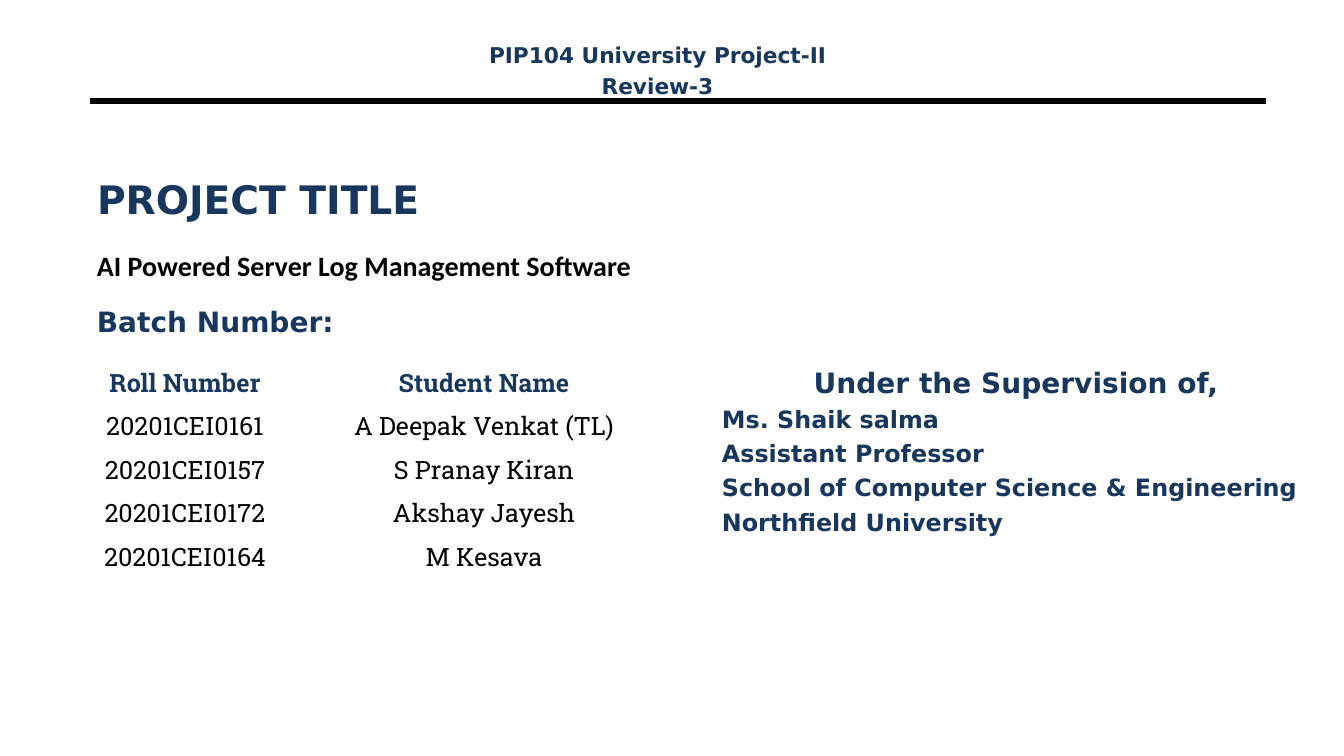
import pptx
import pptx.util
import pptx.dml.color
import pptx.enum.shapes
import pptx.enum.text
import pptx.oxml.ns
import lxml.etree

NAVY = pptx.dml.color.RGBColor(0x17, 0x37, 0x5E)
BLACK = pptx.dml.color.RGBColor(0, 0, 0)
PX_PER_INCH = 100.8
SPACE_BEFORE_RATIO = 0.23
ALIGN = pptx.enum.text.PP_ALIGN
ANCHOR = pptx.enum.text.MSO_ANCHOR

STUDENTS = [
    ("Roll Number", "Student Name"),
    ("20201CEI0161", "A Deepak Venkat (TL)"),
    ("20201CEI0157", "S Pranay Kiran"),
    ("20201CEI0172", "Akshay Jayesh"),
    ("20201CEI0164", "M Kesava"),
    ("", ""),
]
COLUMN_WIDTHS = (230, 368)
ROW_HEIGHT = 41


def px(length):
    return pptx.util.Emu(round(length * 914400 / PX_PER_INCH))


def set_values(target, values):
    for name, value in values.items():
        setattr(target, name, value)


def heading(size, name="DejaVu Sans", color=NAVY, bold=True):
    return {"size": size, "name": name, "color": color, "bold": bold}


def write_para(para, text, style, align=ALIGN.LEFT):
    size = pptx.util.Pt(style["size"])
    para.alignment = align
    span = para.add_run()
    span.text = text
    set_values(span.font, {"name": style["name"], "size": size, "bold": style["bold"]})
    span.font.color.rgb = style["color"]


def fill_box(box, place, lines, anchor=ANCHOR.TOP):
    left, top, width, height = map(px, place)
    set_values(box, {"left": left, "top": top, "width": width, "height": height})
    frame = box.text_frame
    set_values(frame, {
        "word_wrap": True,
        "auto_size": pptx.enum.text.MSO_AUTO_SIZE.NONE,
        "vertical_anchor": anchor,
    })
    for index, (text, style, align) in enumerate(lines):
        para = frame.add_paragraph() if index else frame.paragraphs[0]
        write_para(para, text, style, align)
        if index:
            para.space_before = pptx.util.Pt(round(style["size"] * SPACE_BEFORE_RATIO, 1))


def add_text(page, place, lines):
    fill_box(page.shapes.add_textbox(0, 0, 0, 0), place, lines)


def add_rule(page, left, right, y):
    rule = page.shapes.add_connector(
        pptx.enum.shapes.MSO_CONNECTOR.STRAIGHT, px(left), px(y), px(right), px(y))
    rule.line.color.rgb = BLACK
    rule.line.width = pptx.util.Pt(4.5)
    lxml.etree.SubElement(rule.element.spPr, pptx.oxml.ns.qn("a:effectLst"))


def add_students(page, left, top):
    table = page.shapes.add_table(
        len(STUDENTS), len(COLUMN_WIDTHS), px(left), px(top),
        px(sum(COLUMN_WIDTHS)), px(ROW_HEIGHT * len(STUDENTS))).table
    set_values(table, {"first_row": False, "horz_banding": False})
    for column, width in zip(table.columns, COLUMN_WIDTHS):
        column.width = px(width)
    for row_index, names in enumerate(STUDENTS):
        header = row_index == 0
        style = heading(18, "Roboto Slab", NAVY if header else BLACK, header)
        for column_index, text in enumerate(names):
            cell = table.cell(row_index, column_index)
            cell.fill.background()
            cell.vertical_anchor = ANCHOR.MIDDLE
            if text:
                write_para(cell.text_frame.paragraphs[0], text, style, ALIGN.CENTER)


def main():
    deck = pptx.Presentation()
    set_values(deck, {"slide_width": px(1344), "slide_height": px(756)})
    page = deck.slides.add_slide(deck.slide_layouts[5])

    add_rule(page, 90, 1266, 101)
    fill_box(page.shapes.title, (87, 118, 1142, 162),
             [("PROJECT TITLE", heading(28), ALIGN.LEFT)], ANCHOR.MIDDLE)
    add_text(page, (87, 300, 437, 60), [("Batch Number:", heading(20), ALIGN.LEFT)])
    add_students(page, 70, 361)

    supervisor = ("Ms. Shaik salma", "Assistant Professor",
                  "School of Computer Science & Engineering", "Northfield University")
    add_text(page, (712, 361, 608, 268),
             [("Under the Supervision of,", heading(20), ALIGN.CENTER)]
             + [(line, heading(17), ALIGN.LEFT) for line in supervisor])
    add_text(page, (439, 37, 437, 60),
             [(line, heading(15.5), ALIGN.CENTER)
              for line in ("PIP104 University Project-II", "Review-3")])
    add_text(page, (87, 244, 675, 44),
             [("AI Powered Server Log Management Software",
               heading(20, "Calibri", BLACK), ALIGN.LEFT)])
    deck.save("out.pptx")


if __name__ == "__main__":
    main()
